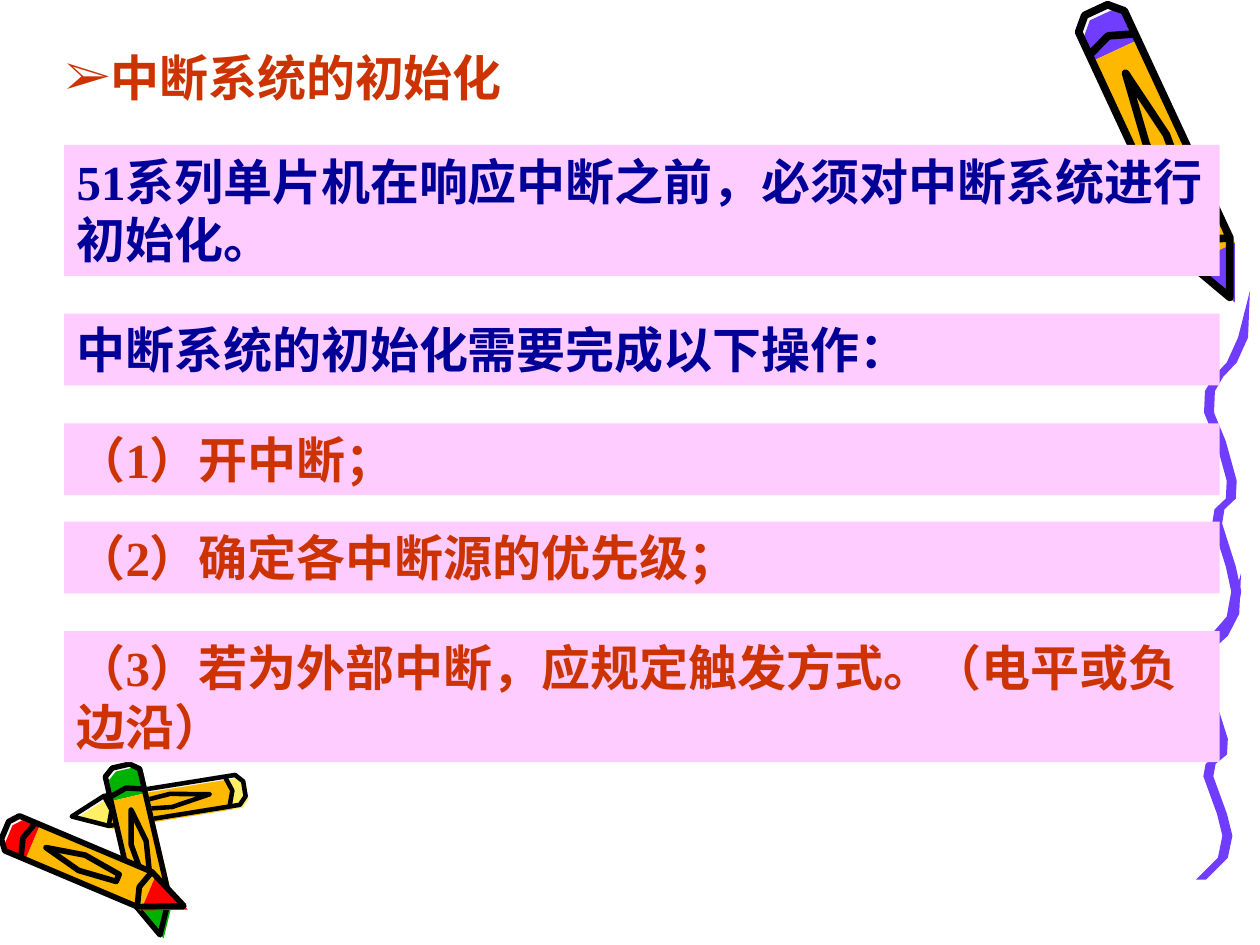
from math import hypot
from typing import NamedTuple, Optional

from lxml import etree
from pptx import Presentation
from pptx.dml.color import RGBColor
from pptx.enum.shapes import MSO_SHAPE
from pptx.enum.text import MSO_ANCHOR, MSO_AUTO_SIZE, PP_ALIGN
from pptx.oxml.ns import qn
from pptx.util import Inches, Pt

RECT = MSO_SHAPE.RECTANGLE
TOP, LEFT, GROW = MSO_ANCHOR.TOP, PP_ALIGN.LEFT, MSO_AUTO_SIZE.SHAPE_TO_FIT_TEXT

BLACK = RGBColor(0x00, 0x00, 0x00)
PURPLE = RGBColor(0x70, 0x3D, 0xFF)
ORANGE = RGBColor(0xFF, 0xB8, 0x00)
PALE = RGBColor(0xF8, 0xF8, 0xF8)
CREAM = RGBColor(0xFF, 0xEF, 0x66)
RED = RGBColor(0xFF, 0x00, 0x00)
GREEN = RGBColor(0x00, 0xB2, 0x00)
PINK = RGBColor(0xFF, 0xCC, 0xFF)
NAVY = RGBColor(0x00, 0x00, 0x99)
RUST = RGBColor(0xCC, 0x33, 0x00)

SANS, SERIF = "Noto Sans CJK SC", "Times New Roman"

# All places and sizes count cells of a grid of 1000 columns and 750 rows.
CELL = Inches(0.01)
LINE, PAD = 47, 10  # rows taken by a line of text, and by a band's margins

Point = tuple[float, float]


class Crayon(NamedTuple):
    """A crayon from butt to tip; cap and neck are shares of its length."""
    butt: Point
    tip: Point
    wide: float
    cap: float
    neck: float
    color: RGBColor


class Wave(NamedTuple):
    left: float
    top: float
    wide: float
    high: float


class Band(NamedTuple):
    top: int
    lines: int
    color: RGBColor
    text: str


CRAYONS = [
    Crayon((870, 8), (976, 236), 40, 0.12, 0.83, PURPLE),
    Crayon((194, 626), (57, 648), 24, 0.1, 0.8, CREAM),
    Crayon((96, 608), (127, 742), 28, 0.16, 0.8, GREEN),
    Crayon((4, 659), (146, 719), 30, 0.13, 0.78, RED),
]
# Both waves follow one middle line, in shares of their width and height.
MIDDLE = [
    (1, 0), (0.85, 0.13), (0.6, 0.2), (0.3, 0.24), (0.12, 0.28), (0.1, 0.34), (0.36, 0.42),
    (0.6, 0.53), (0.58, 0.58), (0.33, 0.61), (0.28, 0.65), (0.58, 0.77), (0.7, 0.84),
    (0.6, 0.91), (0.12, 0.98),
]
WAVES = [Wave(949, 455, 36, 248), Wave(956, 231, 36, 284)]
BANDS = [
    Band(115, 2, NAVY, "51系列单片机在响应中断之前，必须对中断系统进行初始化。"),
    Band(249, 1, NAVY, "中断系统的初始化需要完成以下操作："),
    Band(336, 1, RUST, "（1）开中断；"),
    Band(414, 1, RUST, "（2）确定各中断源的优先级；"),
    Band(501, 2, RUST, "（3）若为外部中断，应规定触发方式。（电平或负边沿）"),
]


def trace(slide, points: list[Point], *, fill: Optional[RGBColor] = None,
          ink: float = 0, close: bool = True) -> None:
    """Draw an outline, filled with a colour or inked in black, ink points thick."""
    spots = [(round(x * CELL), round(y * CELL)) for x, y in points]
    form = slide.shapes.build_freeform(*spots[0], scale=1.0)
    form.add_line_segments(spots[1:], close=close)
    shape = form.convert_to_shape()
    shape.shadow.inherit = False
    if fill is None:
        shape.fill.background()
    else:
        shape.fill.solid()
        shape.fill.fore_color.rgb = fill
    if ink:
        shape.line.color.rgb = BLACK
        shape.line.width = Pt(ink)
    else:
        shape.line.fill.background()


def draw_crayon(slide, item: Crayon) -> None:
    """Draw a pale base, colours printed slightly off it, then the ink on top."""
    (left, top), (right, low) = item.butt, item.tip
    run, rise = right - left, low - top
    long = hypot(run, rise)
    cap, neck = item.cap, item.neck
    ink = round(item.wide * 0.11, 1)

    def place(shares: list[Point], drift: float = 0) -> list[Point]:
        """Turn shares (along the length, across the width) into grid points."""
        across = item.wide / long
        slip = drift * item.wide
        return [(left + run * u - rise * v * across + slip,
                 top + rise * u + run * v * across + slip) for u, v in shares]

    butt = [(0.04, 0.5), (0, 0.25), (0, -0.25), (0.04, -0.5)]
    cone = [(neck, -0.5), (1, 0), (neck, 0.5)]
    body = [(cap, -0.5), (neck, -0.5), (neck, 0.5), (cap, 0.5)]
    head = butt + [(cap, -0.5), (cap, 0.5)]
    start, end = cap + 0.1, neck - 0.15
    swell = (start + end) / 2
    leaf = [(start, 0), (swell, -0.22), (end, -0.1), (end, 0.1), (swell, 0.22)]

    trace(slide, place(butt + cone), fill=PALE)
    for part, color in ((head, item.color), (body, ORANGE), (cone, item.color)):
        trace(slide, place(part, 0.1), fill=color)
    trace(slide, place(butt + cone), ink=ink)
    trace(slide, place(leaf), ink=ink)
    for ring in (cap, neck):
        curve = [(ring, -0.5), (ring - 0.03, 0), (ring, 0.5)]
        trace(slide, place(curve), ink=ink, close=False)


def draw_wave(slide, wave: Wave) -> None:
    """Widen the middle line into a ribbon that starts as a point."""
    def side(sign: int) -> list[Point]:
        return [(wave.left + wave.wide * (x + sign * min(0.11, y)),
                 wave.top + wave.high * y) for x, y in MIDDLE]

    trace(slide, side(-1) + side(1)[::-1], fill=PURPLE)


def write(shape, text: str, *, color: RGBColor, font: str, bullet: str = "") -> None:
    frame = shape.text_frame
    frame.word_wrap = True
    frame.auto_size = GROW
    frame.vertical_anchor = TOP
    para = frame.paragraphs[0]
    para.alignment = LEFT
    if bullet:
        props = para._p.get_or_add_pPr()
        tint = etree.SubElement(etree.SubElement(props, qn("a:buClr")), qn("a:srgbClr"))
        tint.set("val", str(color))
        etree.SubElement(props, qn("a:buFont")).set("typeface", SERIF)
        etree.SubElement(props, qn("a:buChar")).set("char", bullet)
    run = para.add_run()
    run.text = text
    run.font.size = Pt(28)
    run.font.bold = True
    run.font.color.rgb = color
    run.font.name = font
    etree.SubElement(run._r.get_or_add_rPr(), qn("a:ea")).set("typeface", SANS)


def draw_band(slide, band: Band) -> None:
    rows = band.lines * LINE + PAD
    box = slide.shapes.add_shape(RECT, CELL * 51, CELL * band.top, CELL * 917, CELL * rows)
    box.shadow.inherit = False
    box.fill.solid()
    box.fill.fore_color.rgb = PINK
    box.line.fill.background()
    write(box, band.text, color=band.color, font=SERIF)


def main() -> None:
    deck = Presentation()
    deck.slide_width, deck.slide_height = CELL * 1000, CELL * 750
    slide = deck.slides.add_slide(deck.slide_layouts[6])
    for item in CRAYONS:
        draw_crayon(slide, item)
    for wave in WAVES:
        draw_wave(slide, wave)
    title = slide.shapes.add_textbox(CELL * 42, CELL * 33, CELL * 435, CELL * (LINE + PAD))
    write(title, "中断系统的初始化", color=RUST, font=SANS, bullet="➢")
    for band in BANDS:
        draw_band(slide, band)
    deck.save("out.pptx")


if __name__ == "__main__":
    main()
